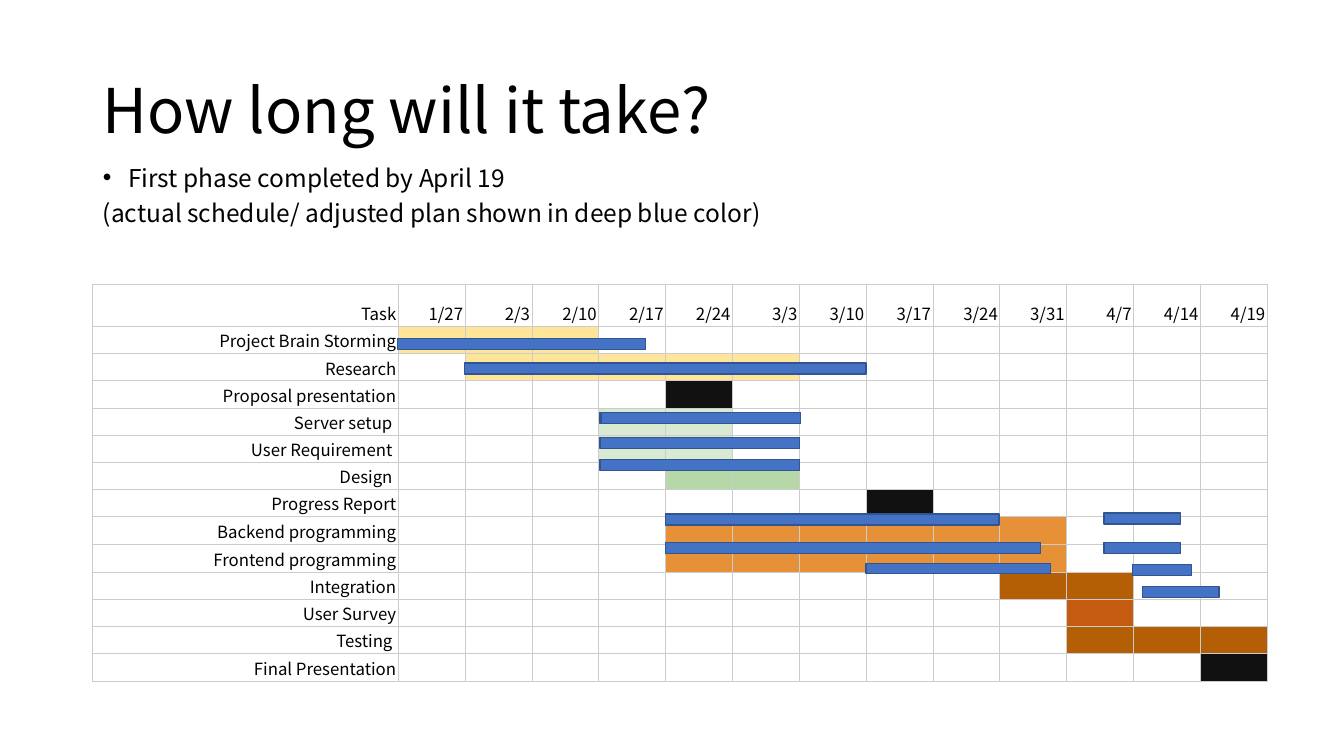
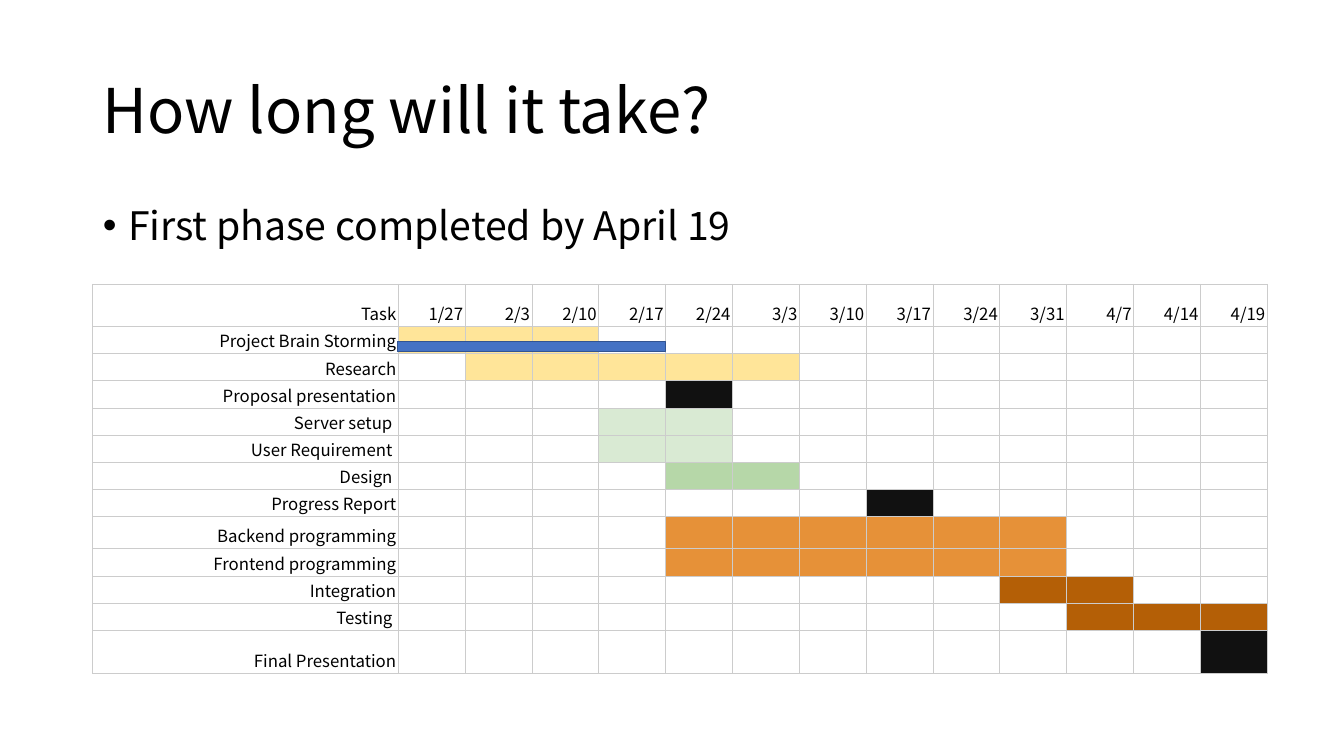
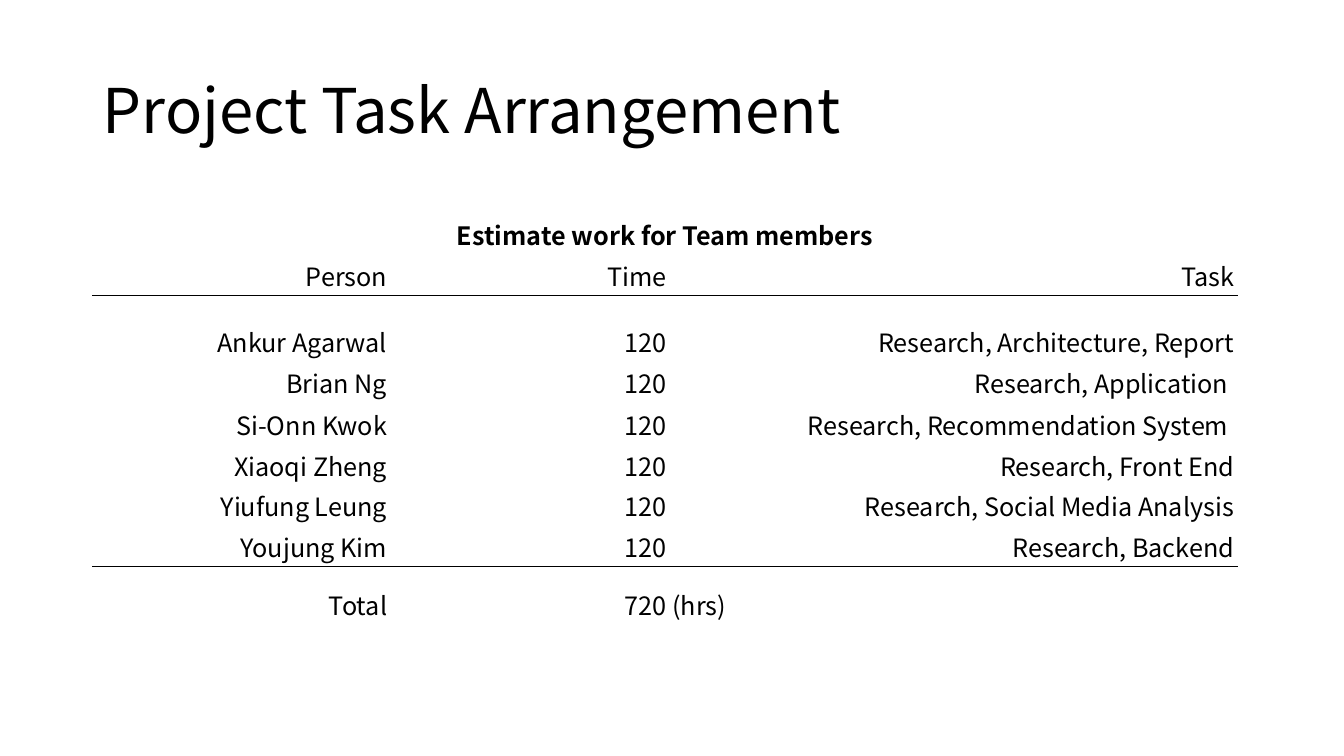
from dataclasses import dataclass
from typing import Any, Optional

from lxml import etree
from pptx import Presentation
from pptx import util as u
from pptx.dml.color import RGBColor
from pptx.enum import shapes, text
from pptx.oxml import ns

FONT = "Noto Sans CJK SC"
COLORS = {
    "text": "000000", "grid": "CCCCCC", "bar": "4472C4", "bar_line": "325491",
    "planning": "FFE599", "milestone": "111111", "setup": "D9EAD3",
    "design": "B6D7A8", "coding": "E69138", "closing": "B45F06", "survey": "C55A11",
}
LEFT = 0.92
CONTENT_W = 11.5
RIGHT, CENTER = text.PP_ALIGN.RIGHT, text.PP_ALIGN.CENTER


@dataclass
class Task:
    name: str
    first: int  # first and last week column, counted from 1
    last: int
    color: str


@dataclass
class Bar:
    left: float
    top: float
    width: float
    height: float = 0.11


@dataclass
class Line:
    text: str
    size: float
    spacing: float
    bullet: bool = True


# Schedule data
WEEKS = ["1/27", "2/3", "2/10", "2/17", "2/24", "3/3", "3/10",
         "3/17", "3/24", "3/31", "4/7", "4/14", "4/19"]
TASKS = [
    Task("Project Brain Storming", 1, 3, "planning"),
    Task("Research", 2, 6, "planning"),
    Task("Proposal presentation", 5, 5, "milestone"),
    Task("Server setup ", 4, 5, "setup"),
    Task("User Requirement ", 4, 5, "setup"),
    Task("Design ", 5, 6, "design"),
    Task("Progress Report", 8, 8, "milestone"),
    Task("Backend programming", 5, 10, "coding"),
    Task("Frontend programming", 5, 10, "coding"),
    Task("Integration", 10, 11, "closing"),
    Task("User Survey", 11, 11, "survey"),
    Task("Testing ", 11, 13, "closing"),
    Task("Final Presentation", 13, 13, "milestone"),
]
FIRST_PLAN = [t for t in TASKS if t.name != "User Survey"]
ACTUAL_BARS = [
    Bar(3.94, 3.36, 2.46), Bar(4.61, 3.6, 3.98), Bar(5.95, 4.09, 1.98),
    Bar(5.95, 4.34, 1.98), Bar(5.95, 4.56, 1.98), Bar(6.6, 5.1, 3.31),
    Bar(5.96, 4.09, 1.98), Bar(6.6, 5.38, 3.72), Bar(10.95, 5.09, 0.76),
    Bar(8.59, 5.59, 1.83, 0.1), Bar(10.95, 5.38, 0.76), Bar(11.33, 5.82, 0.76),
    Bar(11.23, 5.6, 0.59),
]

# Team data
MEMBERS = [
    ("Ankur Agarwal", "Research, Architecture, Report"),
    ("Brian Ng", "Research, Application "),
    ("Si-Onn Kwok", "Research, Recommendation System "),
    ("Xiaoqi Zheng", "Research, Front End"),
    ("Yiufung Leung", "Research, Social Media Analysis"),
    ("Youjung Kim", "Research, Backend"),
]
HOURS = 120


# Shared helpers
def rgb(name: str) -> RGBColor:
    return RGBColor.from_string(COLORS[name])


def set_attrs(obj: Any, values: dict) -> None:
    for name, value in values.items():
        setattr(obj, name, value)


def add_run(p: Any, content: str, size: float, bold: bool = False) -> None:
    r = p.add_run()
    r.text = content
    set_attrs(r.font, {"name": FONT, "size": u.Pt(size), "bold": bold})
    r.font.color.rgb = rgb("text")


def place(sp: Any, left: float, top: float, width: float, height: float) -> None:
    set_attrs(sp, {"left": u.Inches(left), "top": u.Inches(top),
                   "width": u.Inches(width), "height": u.Inches(height)})


def new_slide(prs: Any, layout: int, title: str) -> Any:
    s = prs.slides.add_slide(prs.slide_layouts[layout])
    place(s.shapes.title, LEFT, 0.4, CONTENT_W, 1.45)
    tf = s.shapes.title.text_frame
    set_attrs(tf, {"vertical_anchor": text.MSO_ANCHOR.MIDDLE,
                   "auto_size": text.MSO_AUTO_SIZE.NONE, "word_wrap": True})
    p = tf.paragraphs[0]
    set_attrs(p, {"alignment": text.PP_ALIGN.LEFT, "line_spacing": 0.9})
    add_run(p, title, 44)
    return s


def fill_body(s: Any, top: float, lines: list[Line]) -> None:
    sp = s.placeholders[1]
    place(sp, LEFT, top, CONTENT_W, 0.68)
    tf = sp.text_frame
    set_attrs(tf, {"auto_size": text.MSO_AUTO_SIZE.NONE, "word_wrap": True})
    for i, line in enumerate(lines):
        p = tf.add_paragraph() if i else tf.paragraphs[0]
        set_attrs(p, {"line_spacing": line.spacing, "space_before": u.Pt(10)})
        add_run(p, line.text, line.size)
        pPr = p._p.get_or_add_pPr()
        indent = u.Inches(0.25) if line.bullet else 0
        pPr.set("marL", str(indent))
        pPr.set("indent", str(-indent))
        if line.bullet:
            etree.SubElement(pPr, ns.qn("a:buChar")).set("char", "•")
        else:
            etree.SubElement(pPr, ns.qn("a:buNone"))


# Table helpers
def add_table(s: Any, top: float, cols: list[float], rows: list[float]) -> Any:
    frame = s.shapes.add_table(
        len(rows), len(cols), u.Inches(LEFT), u.Inches(top),
        u.Inches(sum(cols)), u.Inches(sum(rows)))
    table = frame.table
    set_attrs(table, {"first_row": False, "horz_banding": False})
    for col, width in zip(table.columns, cols):
        col.width = u.Inches(width)
    for row, height in zip(table.rows, rows):
        row.height = u.Inches(height)
    return table


def set_borders(cell: Any, sides: str, color: str, width: float) -> None:
    tcPr = cell._tc.get_or_add_tcPr()
    for side in sides:
        ln = etree.SubElement(tcPr, ns.qn(f"a:ln{side}"), w=str(u.Pt(width)))
        fill = etree.SubElement(ln, ns.qn("a:solidFill"))
        etree.SubElement(fill, ns.qn("a:srgbClr"), val=COLORS[color])


def set_cell(cell: Any, content: str, size: float, inset: tuple[float, float],
             align: Any = RIGHT, bold: bool = False, fill: Optional[str] = None) -> None:
    x, y = (u.Inches(v) for v in inset)
    set_attrs(cell, {"vertical_anchor": text.MSO_ANCHOR.BOTTOM, "margin_left": x,
                     "margin_right": x, "margin_top": y, "margin_bottom": y})
    p = cell.text_frame.paragraphs[0]
    p.alignment = align
    if content:
        add_run(p, content, size, bold)
    else:  # keeps the row height of an empty cell small
        etree.SubElement(p._p, ns.qn("a:endParaRPr"), sz=str(int(size * 100)))
    if fill:
        cell.fill.solid()
        cell.fill.fore_color.rgb = rgb(fill)
    else:
        cell.fill.background()


# Schedule slides
def add_schedule(s: Any, tasks: list[Task], tall_rows: dict[str, float],
                 bars: list[Bar]) -> None:
    cols = [3.03] + [8.62 / len(WEEKS)] * len(WEEKS)
    rows = [0.42] + [tall_rows.get(t.name, 0.27) for t in tasks]
    table = add_table(s, 2.82, cols, rows)
    for i in range(len(rows)):
        for j in range(len(cols)):
            content, fill = "", None
            if i == 0:
                content = WEEKS[j - 1] if j else "Task"
            elif j == 0:
                content = tasks[i - 1].name
            elif tasks[i - 1].first <= j <= tasks[i - 1].last:
                fill = tasks[i - 1].color
            cell = table.cell(i, j)
            set_borders(cell, "LRTB", "grid", 0.75)
            set_cell(cell, content, 12, (0.02, 0.01), fill=fill)
    for bar in bars:
        sp = s.shapes.add_shape(
            shapes.MSO_SHAPE.RECTANGLE, u.Inches(bar.left), u.Inches(bar.top),
            u.Inches(bar.width), u.Inches(bar.height))
        sp.shadow.inherit = False
        sp.fill.solid()
        sp.fill.fore_color.rgb = rgb("bar")
        sp.line.color.rgb = rgb("bar_line")
        sp.line.width = u.Pt(1)


# Team slide
def add_team(s: Any) -> None:
    content = [("Estimate work for Team members", "", ""), ("Person", "Time", "Task")]
    content += [(name, str(HOURS), work) for name, work in MEMBERS]
    content.append(("Total", str(HOURS * len(MEMBERS)), "(hrs)"))
    rows = [0.4, 0.4, 0.66, 0.4, 0.42, 0.4, 0.4, 0.4, 0.58]
    total = len(rows) - 1
    rules = {1: "B", 2: "T", total - 1: "B", total: "T"}
    table = add_table(s, 2.13, [2.95, 2.77, 5.63], rows)
    table.cell(0, 0).merge(table.cell(0, 2))
    for i, row in enumerate(content):
        for j, value in enumerate(row):
            align = CENTER if i == 0 else RIGHT
            if (i, j) == (total, 2):
                align = text.PP_ALIGN.LEFT
            cell = table.cell(i, j)
            set_borders(cell, rules.get(i, ""), "text", 1)
            set_cell(cell, value, 18, (0.03, 0.02), align, bold=i == 0)


def main() -> None:
    prs = Presentation()
    set_attrs(prs, {"slide_width": u.Inches(13.33), "slide_height": u.Inches(7.5)})
    question = "How long will it take?"
    goal = "First phase completed by April 19"

    s = new_slide(prs, 1, question)
    fill_body(s, 1.65, [
        Line(goal, 17.5, 0.7),
        Line("(actual schedule/ adjusted plan shown in deep blue color)", 17.5, 0.7, False),
    ])
    add_schedule(s, TASKS, {"Frontend programming": 0.28}, ACTUAL_BARS)

    s = new_slide(prs, 1, question)
    fill_body(s, 2, [Line(goal, 28, 0.9)])
    tall_rows = {"Backend programming": 0.31, "Frontend programming": 0.28,
                 "Final Presentation": 0.42}
    add_schedule(s, FIRST_PLAN, tall_rows, [Bar(3.94, 3.39, 2.66, 0.1)])

    add_team(new_slide(prs, 5, "Project Task Arrangement"))
    prs.save("out.pptx")


if __name__ == "__main__":
    main()
